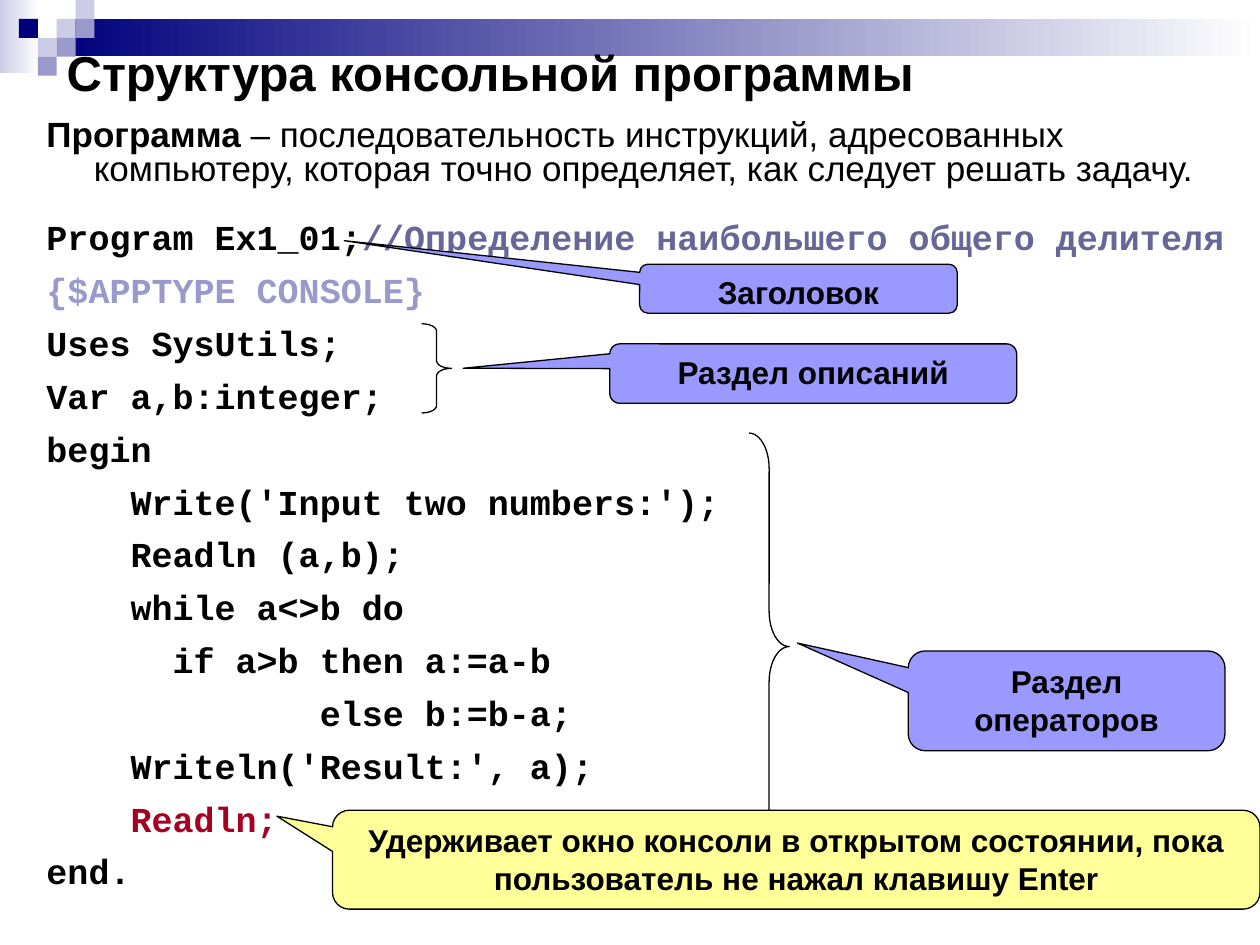
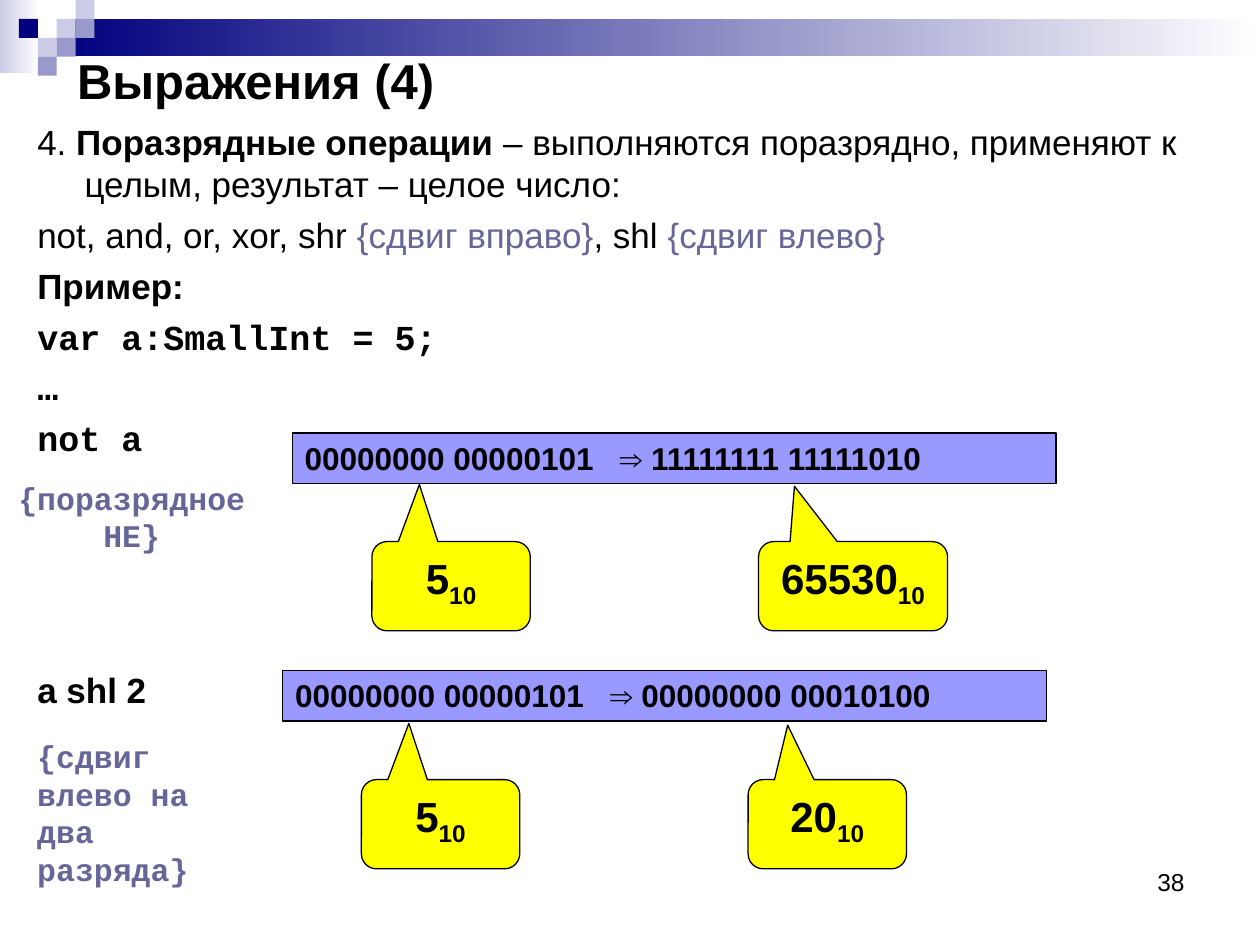
from dataclasses import dataclass
from functools import partial
from typing import NamedTuple

from lxml import etree
from pptx import Presentation
from pptx import util as u
from pptx.dml.color import RGBColor
from pptx.enum import shapes, text
from pptx.oxml.ns import qn

BLACK = RGBColor(0x00, 0x00, 0x00)
WHITE = RGBColor(0xFF, 0xFF, 0xFF)
NAVY = RGBColor(0x00, 0x00, 0x7D)
PALE = RGBColor(0xCC, 0xCC, 0xE6)
LILAC = RGBColor(0x99, 0x99, 0xCC)
SLATE = RGBColor(0x66, 0x66, 0x99)
BLUE = RGBColor(0x99, 0x99, 0xFF)
CREAM = RGBColor(0xFF, 0xFF, 0x99)
YELLOW = RGBColor(0xFF, 0xFF, 0x00)
RED = RGBColor(0xA5, 0x00, 0x21)
SANS = "Arial"
MONO = "Courier New"
CELL = 10.8
HANG = 27
KIND = shapes.MSO_SHAPE
LEFT, CENTER, RIGHT = text.PP_ALIGN.LEFT, text.PP_ALIGN.CENTER, text.PP_ALIGN.RIGHT


class Box(NamedTuple):
    left: float
    top: float
    width: float
    height: float


@dataclass(frozen=True)
class Bit:
    words: str
    ink: RGBColor = BLACK
    bold: bool = False
    face: str = SANS
    base: int = 0


@dataclass(frozen=True)
class Line:
    bits: tuple[Bit, ...]
    gap: float = 5
    lead: float = 1.0


@dataclass(frozen=True)
class Call:
    box: Box
    bits: tuple[Bit, ...]
    tip: tuple[float, float]
    fill: RGBColor = BLUE
    size: float = 18


@dataclass(frozen=True)
class Brace:
    box: Box
    curve: float


@dataclass(frozen=True)
class Strip:
    left: float
    top: float
    words: str


strong = partial(Bit, bold=True)
code = partial(Bit, bold=True, face=MONO)


def write(frame, lines: list[Line], *, size: float, align=LEFT,
          anchor=text.MSO_ANCHOR.TOP, hang: float = 0, stop: float = 0) -> None:
    frame.word_wrap = True
    frame.vertical_anchor = anchor
    for spot, line in enumerate(lines):
        par = frame.add_paragraph() if spot else frame.paragraphs[0]
        par.alignment = align
        par.line_spacing = line.lead
        par.space_before = u.Pt(line.gap if spot else 0)
        props = par._p.get_or_add_pPr()
        if hang:
            props.set("marL", str(u.Pt(hang)))
            props.set("indent", str(-u.Pt(hang)))
        if stop:
            tabs = etree.SubElement(props, qn("a:tabLst"))
            etree.SubElement(tabs, qn("a:tab"), pos=str(u.Pt(stop)), algn="l")
        for bit in line.bits:
            run = par.add_run()
            run.text = bit.words
            run.font.size = u.Pt(size)
            run.font.name = bit.face
            run.font.bold = bit.bold
            run.font.color.rgb = bit.ink
            if bit.base:
                run._r.get_or_add_rPr().set("baseline", str(bit.base * 1000))


def label(slide, box: Box, lines: list[Line], **style) -> None:
    shape = slide.shapes.add_textbox(*map(u.Pt, box))
    write(shape.text_frame, lines, **style)


def draw(slide, kind, box: Box, fill: RGBColor | None = None, edge: bool = True):
    shape = slide.shapes.add_shape(kind, *map(u.Pt, box))
    shape.shadow.inherit = False
    if fill is None:
        shape.fill.background()
    else:
        shape.fill.solid()
        shape.fill.fore_color.rgb = fill
    if edge:
        shape.line.color.rgb = BLACK
        shape.line.width = u.Pt(0.75)
    else:
        shape.line.fill.background()
    return shape


def fade(slide, box: Box, start: RGBColor) -> None:
    shape = draw(slide, KIND.RECTANGLE, box, start, edge=False)
    shape.fill.gradient()
    shape.fill.gradient_angle = 0
    for stop, ink in zip(shape.fill.gradient_stops, (start, WHITE)):
        stop.color.rgb = ink


def call(slide, item: Call) -> None:
    shape = draw(slide, KIND.ROUNDED_RECTANGULAR_CALLOUT, item.box, item.fill)
    for spot, value in enumerate((*item.tip, 0.17)):
        shape.adjustments[spot] = value
    write(shape.text_frame, [Line(item.bits)], size=item.size, align=CENTER)


def brace(slide, item: Brace) -> None:
    shape = draw(slide, KIND.RIGHT_BRACE, item.box)
    shape.adjustments[0] = item.curve
    shape.adjustments[1] = 0.5


def strip(slide, item: Strip) -> None:
    shape = draw(slide, KIND.RECTANGLE, Box(item.left, item.top, 436.5, 29), BLUE)
    write(shape.text_frame, [Line((strong(item.words),))], size=18, stop=180)


def start(deck, title: str, box: Box):
    slide = deck.slides.add_slide(deck.slide_layouts[6])
    fade(slide, Box(0, 0, 22.5, 42), PALE)
    fade(slide, Box(3 * CELL, CELL, 720 - 3 * CELL, 21.5), NAVY)
    tiles = ((3, 1, PALE), (4, 0, PALE), (4, 1, LILAC), (2, 2, PALE),
             (1, 1, NAVY), (3, 2, LILAC), (2, 3, LILAC))
    for col, row, ink in tiles:
        draw(slide, KIND.RECTANGLE, Box(col * CELL, row * CELL, CELL, CELL), ink, edge=False)
    label(slide, box, [Line((strong(title),))], size=28, anchor=text.MSO_ANCHOR.MIDDLE)
    return slide


def layout(deck) -> None:
    slide = start(deck, "Структура консольной программы", Box(31, 21.5, 674.5, 39))
    intro = Line((strong("Программа"), Bit(
        " – последовательность инструкций, адресованных компьютеру, "
        "которая точно определяет, как следует решать задачу.")), lead=0.8)
    head = Line((code("Program Ex1_01;"),
                 code("//Определение наибольшего общего делителя", SLATE)), 14.7, 1.05)
    rows = (
        code("{$APPTYPE CONSOLE}", LILAC),
        code("Uses SysUtils;"),
        code("Var a,b:integer;"),
        code("begin"),
        code("    Write('Input two numbers:');"),
        code("    Readln (a,b);"),
        code("    while a<>b do"),
        code("      if a>b then a:=a-b"),
        code("             else b:=b-a;"),
        code("    Writeln('Result:', a);"),
        code("    Readln;", RED),
        code("end."),
    )
    lines = [intro, head, *(Line((row,), lead=1.05) for row in rows)]
    label(slide, Box(19.5, 65.5, 700.5, 453.5), lines, size=20, hang=HANG)
    for item in (Brace(Box(241, 185, 17, 51), 0.25), Brace(Box(428, 247.5, 23, 244), 0.88)):
        brace(slide, item)
    calls = (
        Call(Box(365.5, 151, 181.5, 28), (strong("Заголовок"),), (-1.43, -0.98)),
        Call(Box(348.5, 196.5, 232.5, 34), (strong("Раздел описаний"),), (-0.86, -0.09)),
        Call(Box(519, 372, 181, 57), (strong("Раздел операторов"),), (-0.85, -0.58)),
        Call(Box(190, 463, 530, 56.5), (strong(
            "Удерживает окно консоли в открытом состоянии, "
            "пока пользователь не нажал клавишу Enter"),), (-0.56, -0.44), CREAM),
    )
    for item in calls:
        call(slide, item)


def bitwise(deck) -> None:
    slide = start(deck, "Выражения (4)", Box(37, 20, 648, 51))
    label(slide, Box(516, 492, 168, 37.5), [Line((Bit("38"),))], size=14, align=RIGHT)
    lines = [
        Line((Bit("4. "), strong("Поразрядные операции "),
              Bit("– выполняются поразрядно, применяют к целым, результат – целое число:"))),
        Line((Bit("not, and, or, xor, shr "), Bit("{сдвиг вправо}", SLATE),
              Bit(", shl "), Bit("{сдвиг влево}", SLATE))),
        Line((strong("Пример:"),)),
        Line((code("var a:SmallInt = 5;"),)),
        Line((code("…"),)),
        Line((code("not a"),)),
        Line((strong("a shl 2"),), gap=120),
    ]
    label(slide, Box(14.2, 65.5, 671, 453.5), lines, size=20, hang=HANG)
    for item in (Strip(161.5, 383, "00000000 00000101\t⇒ 00000000 00010100"),
                 Strip(167, 247.5, "00000000 00000101\t⇒ 11111111 11111010")):
        strip(slide, item)
    sums = (
        (206.5, 445.5, 90.5, "5", (-0.2, -1.13)),
        (427.5, 445.5, 90.5, "20", (-0.25, -1.11)),
        (212.5, 309.5, 90.5, "5", (-0.2, -1.14)),
        (433.5, 309.5, 108, "65530", (-0.31, -1.12)),
    )
    for left, top, width, value, tip in sums:
        bits = (strong(value), strong("10", base=-25))
        call(slide, Call(Box(left, top, width, 51), bits, tip, YELLOW, 24))
    notes = ((Box(14.2, 417.5, 119, 93.5), "{cдвиг влево на два разряда}", LEFT),
             (Box(0, 270, 150.5, 50.5), "{поразрядное НЕ}", CENTER))
    for box, words, align in notes:
        label(slide, box, [Line((code(words, SLATE),))], size=18, align=align)


def main() -> None:
    deck = Presentation()
    deck.slide_width, deck.slide_height = u.Pt(720), u.Pt(540)
    layout(deck)
    bitwise(deck)
    deck.save("out.pptx")


if __name__ == "__main__":
    main()
